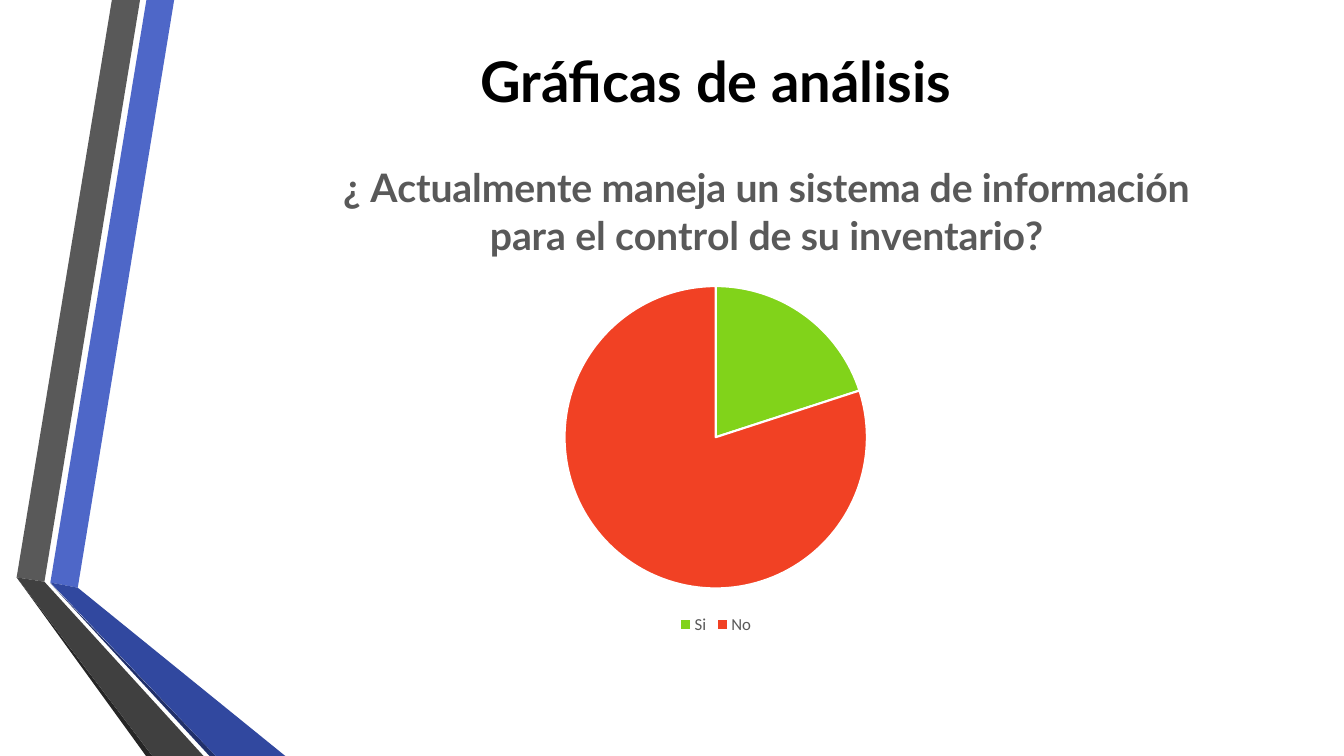
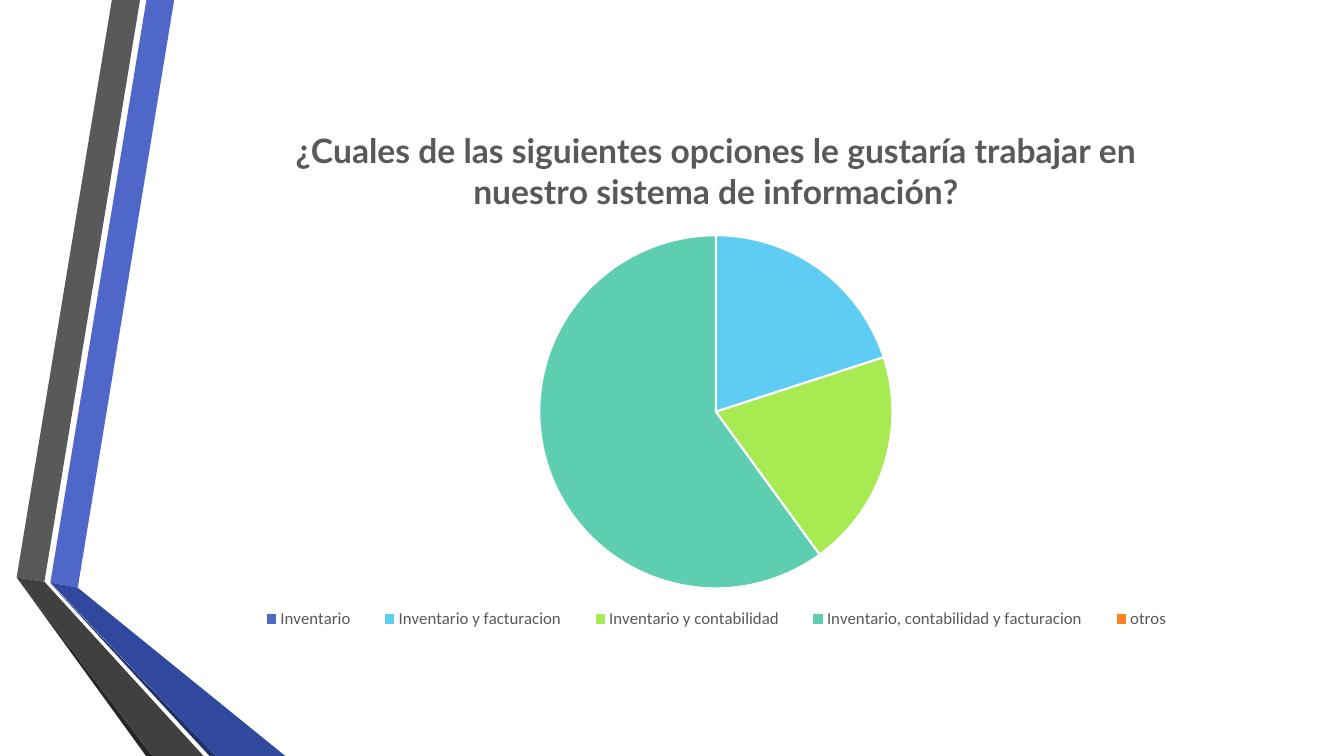
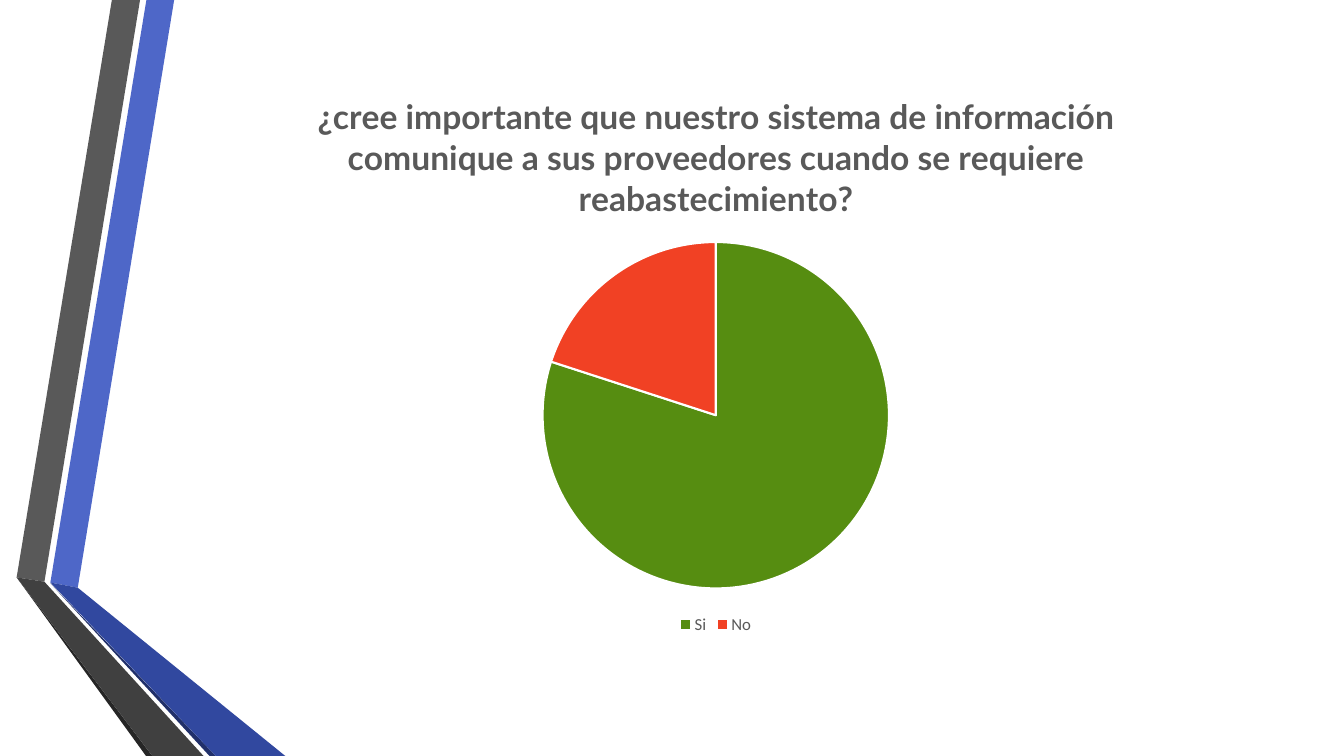
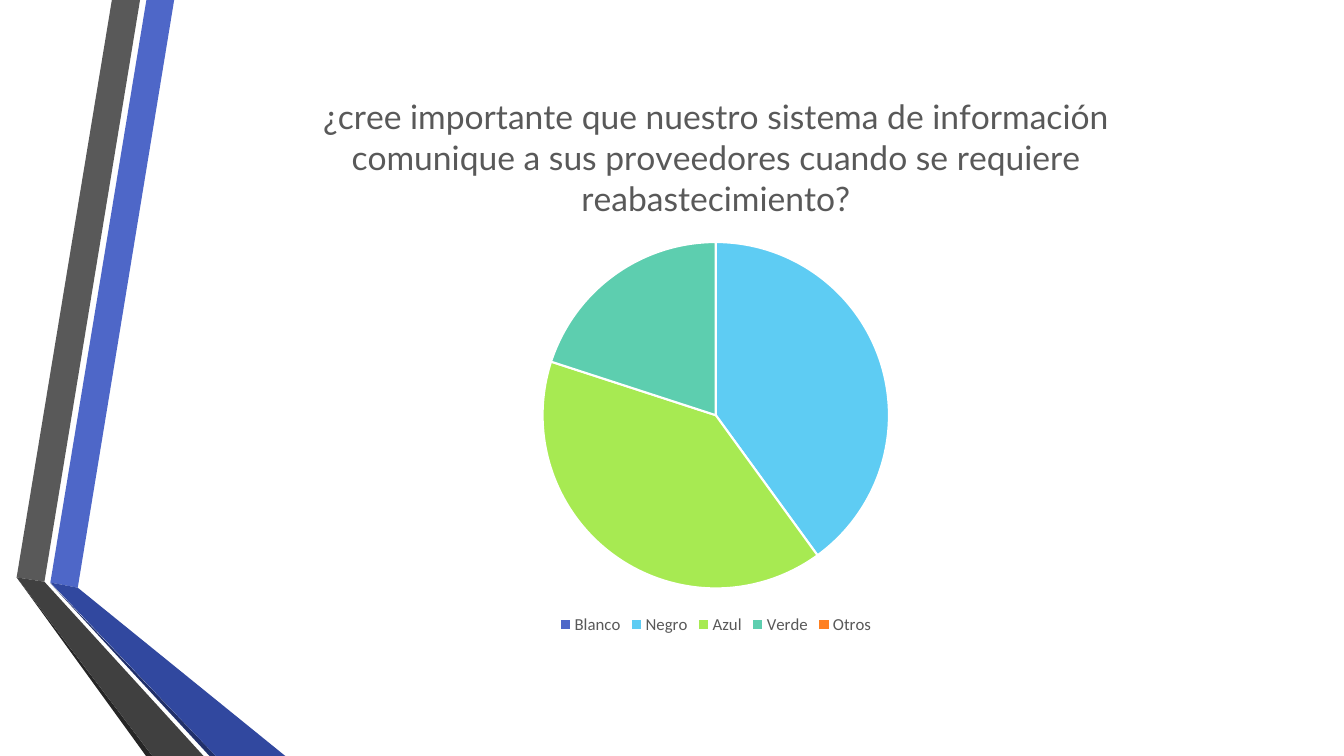
import pptx
import pptx.chart.data
import pptx.dml.color
import pptx.enum.chart
import pptx.enum.text
import pptx.oxml
import pptx.oxml.ns
import pptx.util

Cm = pptx.util.Cm
Pt = pptx.util.Pt

GREY = "595959"
GREEN, DARK_GREEN, RED = "81D31A", "568D11", "F14124"
BLUE, SKY, LIME, TEAL, ORANGE = "4E67C8", "5ECCF3", "A7EA52", "5DCEAF", "FF8021"
FIVE_COLOURS = [BLUE, SKY, LIME, TEAL, ORANGE]

# Fill and corner points in centimetres, from back to front
RIBBONS = [
    (BLUE, [(1.27, 14.68), (1.96, 14.81), (4.39, 0), (3.69, 0)]),
    (GREY, [(3.53, 0), (2.82, 0), (0.42, 14.55), (1.12, 14.66)]),
    ("262626", [(0.42, 14.55), (3.68, 19.05), (3.84, 19.05)]),
    ("21306A", [(1.27, 14.7), (5.28, 19.05), (5.44, 19.05)]),
    ("31489F", [(1.27, 14.68), (5.44, 19.05), (7.19, 19.05), (1.96, 14.81)]),
    ("404040", [(0.42, 14.55), (3.84, 19.05), (5.13, 19.05), (1.12, 14.66)]),
]


def colour(hex_string):
    return pptx.dml.color.RGBColor.from_string(hex_string)


class SlideWriter:
    """Holds the deck, its shared style and the slide being filled."""

    heading_font = "Lato"
    legend_font = "Calibri"
    left, width = 4.12, 27.84
    chart_bottom, pie_bottom = 16.1, 14.83

    def __init__(self):
        self.deck = pptx.Presentation()
        self.deck.slide_width = Cm(33.87)
        self.deck.slide_height = Cm(19.05)
        self.slide = None

    def add_slide(self, layout_name):
        layout = self.deck.slide_layouts.get_by_name(layout_name)
        self.slide = self.deck.slides.add_slide(layout)
        for fill, corners in RIBBONS:
            self.ribbon(fill, corners)

    def ribbon(self, fill, corners):
        start, *others = [(Cm(x), Cm(y)) for x, y in corners]
        builder = self.slide.shapes.build_freeform(*start)
        builder.add_line_segments(others)
        shape = builder.convert_to_shape()
        shape.shadow.inherit = False
        shape.fill.solid()
        shape.fill.fore_color.rgb = colour(fill)
        shape.line.fill.background()

    def add_text(self, para, text, size, hex_string, bold):
        para.alignment = pptx.enum.text.PP_ALIGN.CENTER
        span = para.add_run()
        span.text = text
        span.font.name = self.heading_font
        span.font.size = Pt(size)
        span.font.bold = bold
        span.font.color.rgb = colour(hex_string)

    def title(self, text):
        box = self.slide.shapes.title
        box.left, box.top = Cm(self.left), Cm(0.79)
        box.width, box.height = Cm(self.width), Cm(2.46)
        box.text_frame.vertical_anchor = pptx.enum.text.MSO_ANCHOR.MIDDLE
        self.add_text(box.text_frame.paragraphs[0], text, 40, "000000", True)

    def pie(self, question, answers, colours, top, pie_top, size=24, bold=True,
            title_left=None, legend_place=None):
        """Add a pie; answers maps labels to values, places are in centimetres."""
        data = pptx.chart.data.CategoryChartData()
        data.categories = list(answers)
        data.add_series("Series 1", list(answers.values()))
        height = self.chart_bottom - top
        chart = self.slide.shapes.add_chart(
            pptx.enum.chart.XL_CHART_TYPE.PIE,
            Cm(self.left), Cm(top), Cm(self.width), Cm(height), data).chart
        chart.font.name = self.legend_font
        chart.font.size = Pt(10)

        self.add_text(chart.chart_title.text_frame.paragraphs[0], question, size, GREY, bold)
        chart.chart_title.include_in_layout = False
        if title_left is not None:
            self.place(chart.chart_title.element, x=(title_left - self.left) / self.width, y=0)

        chart.has_legend = True
        chart.legend.position = pptx.enum.chart.XL_LEGEND_POSITION.BOTTOM
        chart.legend.include_in_layout = False
        chart.legend.font.name = self.legend_font
        chart.legend.font.size = Pt(12)
        chart.legend.font.color.rgb = colour(GREY)
        if legend_place:
            x, y, w, h = legend_place
            self.place(chart.element.chart.legend, x=(x - self.left) / self.width,
                       y=(y - top) / height, w=w / self.width, h=h / height)

        plot = chart.plots[0]
        plot.vary_by_categories = True
        for index, fill in enumerate(colours):
            slice_format = plot.series[0].points[index].format
            slice_format.fill.solid()
            slice_format.fill.fore_color.rgb = colour(fill)
            slice_format.line.color.rgb = colour("FFFFFF")
            slice_format.line.width = Pt(1.5)

        diameter = self.pie_bottom - pie_top
        share = diameter / self.width
        self.place(chart.element.chart.plotArea, inner=True, x=(1 - share) / 2,
                   y=(pie_top - top) / height, w=share, h=diameter / height)

    def place(self, element, inner=False, **shares):
        """Set a chart part's manual layout, in shares of the chart's size."""
        qn = pptx.oxml.ns.qn
        for old in element.findall(qn("c:layout")):
            element.remove(old)
        target = '<c:layoutTarget val="inner"/>' if inner else ""
        modes = '<c:xMode val="edge"/><c:yMode val="edge"/>'
        values = "".join(f'<c:{key} val="{value:.4f}"/>' for key, value in shares.items())
        layout = pptx.oxml.parse_xml(
            f'<c:layout {pptx.oxml.ns.nsdecls("c")}><c:manualLayout>'
            f"{target}{modes}{values}</c:manualLayout></c:layout>")
        leading = [child for child in element if child.tag in (qn("c:tx"), qn("c:legendPos"))]
        element.insert(len(leading), layout)


def main():
    writer = SlideWriter()

    writer.add_slide("Title Only")
    writer.title("Gráficas de análisis")
    writer.pie("¿ Actualmente maneja un sistema de información para el control de su inventario?",
               {"Si": 20, "No": 80}, [GREEN, RED],
               top=3.84, pie_top=7.21, size=28, title_left=8.47)

    writer.add_slide("Blank")
    writer.pie("¿Cuales de las siguientes opciones le gustaría trabajar en nuestro sistema "
               "de información?",
               {"Inventario": 0, "Inventario y facturacion": 20, "Inventario y contabilidad": 20,
                "Inventario, contabilidad y facturacion": 60, "otros": 0},
               FIVE_COLOURS, top=2.62, pie_top=5.93, legend_place=(6, 15.1, 24.1, 1))

    suppliers = ("¿cree importante que nuestro sistema de información comunique a sus "
                 "proveedores cuando se requiere reabastecimiento?")
    writer.add_slide("Blank")
    writer.pie(suppliers, {"Si": 80, "No": 20}, [DARK_GREEN, RED], top=1.73, pie_top=6.1)

    writer.add_slide("Blank")
    writer.pie(suppliers, {"Blanco": 0, "Negro": 40, "Azul": 40, "Verde": 20, "Otros": 0},
               FIVE_COLOURS, top=1.73, pie_top=6.1, bold=False)

    writer.deck.save("out.pptx")


if __name__ == "__main__":
    main()
